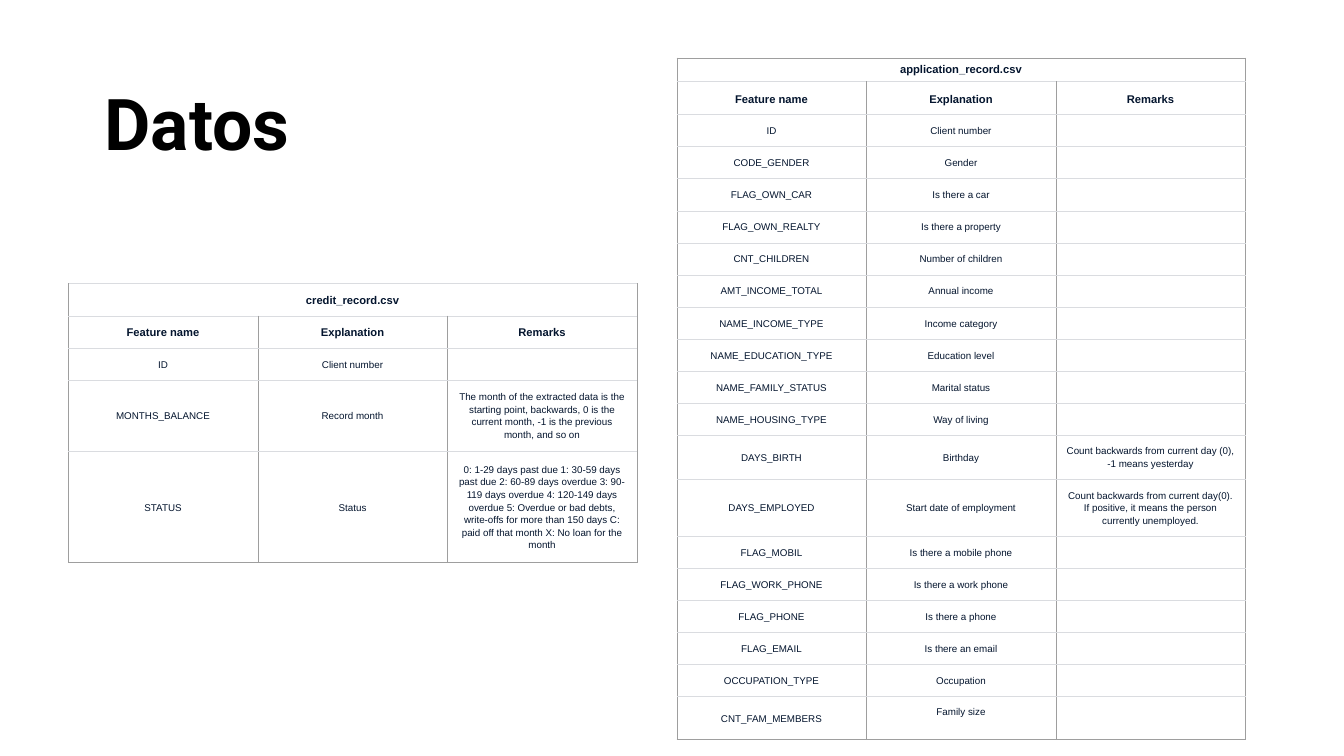
from lxml import etree
from pptx import Presentation
from pptx.dml.color import RGBColor
from pptx.enum.text import MSO_ANCHOR, PP_ALIGN
from pptx.oxml.ns import qn
from pptx.util import Pt

SCALE = 9525
BLACK = RGBColor(0x00, 0x00, 0x00)
NAVY = RGBColor(0x04, 0x15, 0x2E)
GREY = RGBColor(0x9E, 0x9E, 0x9E)
PALE = RGBColor(0xDA, 0xDC, 0xE0)
MID, TOP = MSO_ANCHOR.MIDDLE, MSO_ANCHOR.TOP
CENTER = PP_ALIGN.CENTER
SIDES = ("left", "right", "top", "bottom")
COL, ROW, PAD = 361, 61, 16

HEAD = ("Feature name", "Explanation", "Remarks")
APP = [
    ("application_record.csv",),
    HEAD,
    ("ID", "Client number"),
    ("CODE_GENDER", "Gender"),
    ("FLAG_OWN_CAR", "Is there a car"),
    ("FLAG_OWN_REALTY", "Is there a property"),
    ("CNT_CHILDREN", "Number of children"),
    ("AMT_INCOME_TOTAL", "Annual income"),
    ("NAME_INCOME_TYPE", "Income category"),
    ("NAME_EDUCATION_TYPE", "Education level"),
    ("NAME_FAMILY_STATUS", "Marital status"),
    ("NAME_HOUSING_TYPE", "Way of living"),
    ("DAYS_BIRTH", "Birthday",
     "Count backwards from current day (0), -1 means yesterday"),
    ("DAYS_EMPLOYED", "Start date of employment",
     "Count backwards from current day(0). If positive, it means "
     "the person currently unemployed."),
    ("FLAG_MOBIL", "Is there a mobile phone"),
    ("FLAG_WORK_PHONE", "Is there a work phone"),
    ("FLAG_PHONE", "Is there a phone"),
    ("FLAG_EMAIL", "Is there an email"),
    ("OCCUPATION_TYPE", "Occupation"),
    ("CNT_FAM_MEMBERS", "Family size"),
]
CREDIT = [
    ("credit_record.csv",),
    HEAD,
    ("ID", "Client number"),
    ("MONTHS_BALANCE", "Record month",
     "The month of the extracted data is the starting point, backwards, "
     "0 is the current month, -1 is the previous month, and so on"),
    ("STATUS", "Status",
     "0: 1-29 days past due 1: 30-59 days past due 2: 60-89 days overdue "
     "3: 90-119 days overdue 4: 120-149 days overdue 5: Overdue or bad debts, "
     "write-offs for more than 150 days C: paid off that month "
     "X: No loan for the month"),
]
APP_ROWS = {0: 44, 1: 63, 12: 84, 13: 109, 19: 82}
CREDIT_ROWS = {3: 135, 4: 213}


def px(*nums):
    """Turn px into EMU."""
    return [n * SCALE for n in nums]


def style(font, size, name, color, bold):
    """Set the look of a font."""
    for key, val in {"size": Pt(size), "name": name, "bold": bold}.items():
        setattr(font, key, val)
    font.color.rgb = color


def inset(box, pad):
    """Set the same margin on all sides."""
    for side in SIDES:
        setattr(box, f"margin_{side}", pad * SCALE)


def border(cell, top, bottom):
    """Draw grey sides and the given top and bottom lines."""
    props = cell._tc.get_or_add_tcPr()
    lines = {"L": (GREY, 0.75), "R": (GREY, 0.75), "T": top, "B": bottom}
    for side, (color, width) in lines.items():
        line = etree.SubElement(props, qn(f"a:ln{side}"), w=str(Pt(width)))
        fill = etree.SubElement(line, qn("a:solidFill"))
        etree.SubElement(fill, qn("a:srgbClr"), val=str(color))


def write(cell, text, bold, pad=PAD, gap=1.15, anchor=MID):
    """Put centred text in a cell."""
    inset(cell, pad)
    cell.vertical_anchor = anchor
    para = cell.text_frame.paragraphs[0]
    para.alignment, para.line_spacing = CENTER, gap
    run = para.add_run()
    run.text = text
    style(run.font, 16 if bold else 14, "Arial", NAVY, bold)


def grid(slide, left, top, data, heights, edge, special):
    """Add a table with a merged title row."""
    sizes = [heights.get(i, ROW) for i in range(len(data))]
    frame = slide.shapes.add_table(
        len(data), 3, *px(left, top, 3 * COL, sum(sizes)))
    table = frame.table
    table.first_row = table.horz_banding = False
    for col in table.columns:
        col.width = COL * SCALE
    table.cell(0, 0).merge(table.cell(0, 2))
    dark, light = (GREY, 0.75), (PALE, 0.83)
    last = len(data) - 1
    for r, (size, texts) in enumerate(zip(sizes, data)):
        table.rows[r].height = size * SCALE
        for c in range(3):
            cell = table.cell(r, c)
            border(cell, light if r else edge, dark if r == last else light)
            cell.fill.background()
            if c < len(texts):
                write(cell, texts[c], r < 2, **special.get((r, c), {}))


def title(slide):
    """Add the slide title."""
    box = slide.shapes.add_textbox(*px(197, 148, 1222, 169))
    frame = box.text_frame
    inset(frame, 2)
    frame.word_wrap = True
    frame.vertical_anchor = MID
    run = frame.paragraphs[0].add_run()
    run.text = "Datos"
    style(run.font, 102, "Roboto", BLACK, True)


def main():
    """Build and save the slide."""
    deck = Presentation()
    deck.slide_width, deck.slide_height = px(2560, 1440)
    slide = deck.slides.add_slide(deck.slide_layouts[6])
    title(slide)
    special = {(0, 0): {"pad": 10, "gap": 1.0, "anchor": TOP},
               (19, 1): {"anchor": TOP}}
    grid(slide, 1289, 110, APP, APP_ROWS, (GREY, 0.75), special)
    grid(slide, 130, 540, CREDIT, CREDIT_ROWS, (PALE, 0.83), {})
    deck.save("out.pptx")


if __name__ == "__main__":
    main()
